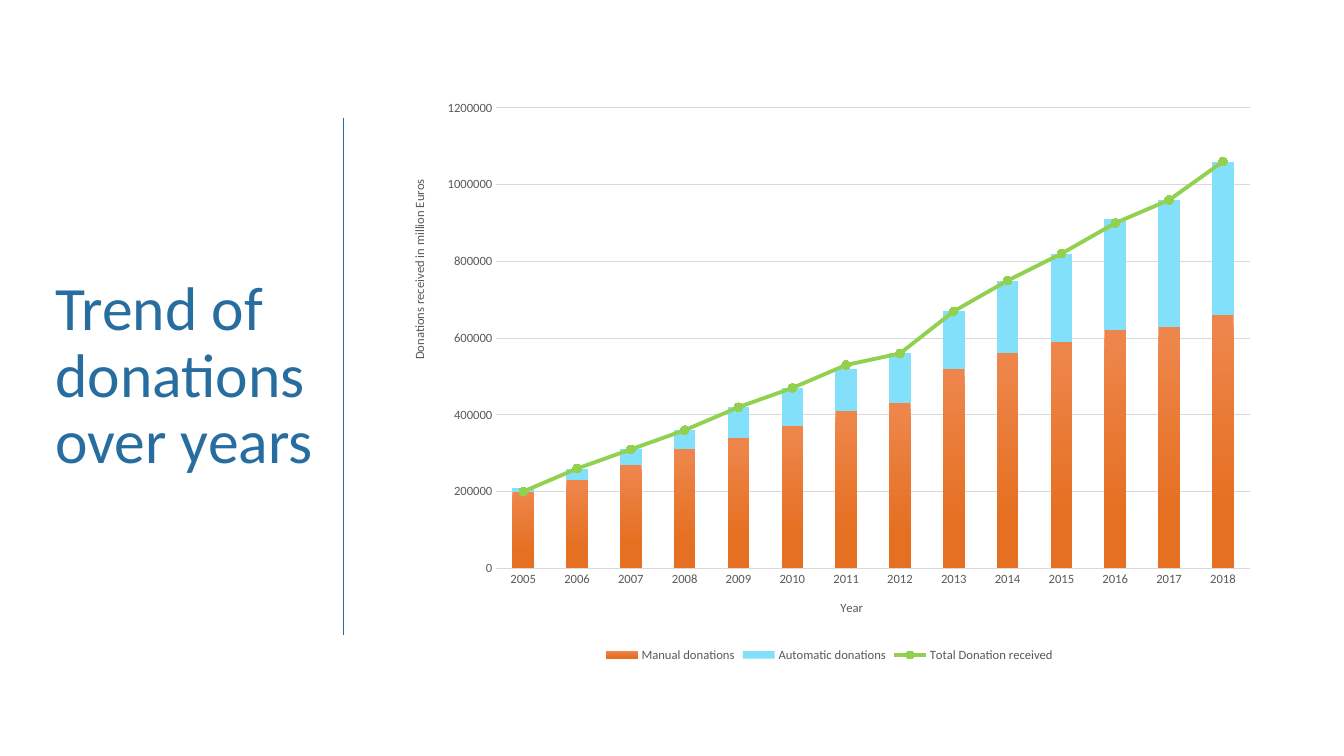
from dataclasses import dataclass

from lxml import etree
from pptx import Presentation
from pptx.chart.data import CategoryChartData
from pptx.dml.color import RGBColor
from pptx.enum.chart import (XL_CHART_TYPE, XL_LEGEND_POSITION,
                             XL_MARKER_STYLE, XL_TICK_MARK)
from pptx.enum.shapes import MSO_CONNECTOR
from pptx.enum.text import MSO_ANCHOR, MSO_AUTO_SIZE, PP_ALIGN
from pptx.oxml.ns import qn
from pptx.util import Inches, Pt

STACKED = XL_CHART_TYPE.COLUMN_STACKED
BOTTOM = XL_LEGEND_POSITION.BOTTOM
CIRCLE = XL_MARKER_STYLE.CIRCLE
NO_TICK = XL_TICK_MARK.NONE
STRAIGHT = MSO_CONNECTOR.STRAIGHT
MIDDLE = MSO_ANCHOR.MIDDLE
NO_FIT = MSO_AUTO_SIZE.NONE
LEFT = PP_ALIGN.LEFT


@dataclass(frozen=True)
class Theme:
    font: str = "Calibri"
    blue: RGBColor = RGBColor(0x28, 0x6D, 0x9F)
    gray: RGBColor = RGBColor(0x59, 0x59, 0x59)
    grid: RGBColor = RGBColor(0xD9, 0xD9, 0xD9)
    light: RGBColor = RGBColor(0xEE, 0x86, 0x4C)
    orange: RGBColor = RGBColor(0xE5, 0x70, 0x21)
    sky: RGBColor = RGBColor(0x82, 0xE0, 0xFA)
    green: RGBColor = RGBColor(0x92, 0xD0, 0x50)
    head: Pt = Pt(44)
    small: Pt = Pt(9)


THEME = Theme()
YEARS = [str(year) for year in range(2005, 2019)]
# Donations in thousands
MANUAL = [200, 230, 270, 310, 340, 370, 410, 430, 520, 560, 590, 620, 630, 660]
AUTO = [10, 30, 40, 50, 80, 100, 110, 130, 150, 190, 230, 290, 330, 400]
TOTAL = [200, 260, 310, 360, 420, 470, 530, 560, 670, 750, 820, 900, 960, 1060]


def style(font, size, color):
    font.name = THEME.font
    font.size = size
    font.bold = False
    font.color.rgb = color


def paint(fill, color):
    fill.solid()
    fill.fore_color.rgb = color


def add_title(slide, text):
    title = slide.shapes.title
    title.left, title.top = Inches(0.45), Inches(2.05)
    title.width, title.height = Inches(3.1), Inches(3.39)
    frame = title.text_frame
    frame.text = text
    frame.word_wrap = True
    frame.auto_size = NO_FIT
    frame.vertical_anchor = MIDDLE
    para = frame.paragraphs[0]
    para.alignment = LEFT
    para.line_spacing = 0.9
    style(para.runs[0].font, THEME.head, THEME.blue)


def add_rule(slide):
    x = Inches(3.41)
    rule = slide.shapes.add_connector(STRAIGHT, x, Inches(1.17), x, Inches(6.3))
    rule.line.color.rgb = THEME.blue
    rule.line.width = Pt(0.5)
    etree.SubElement(rule._element.spPr, qn("a:effectLst"))


def place(parent, index, **spots):
    """Give a chart part a manual layout, in fractions of the chart."""
    old = parent.find(qn("c:layout"))
    if old is not None:
        parent.remove(old)
    layout = etree.Element(qn("c:layout"))
    manual = etree.SubElement(layout, qn("c:manualLayout"))
    for key, value in spots.items():
        etree.SubElement(manual, qn("c:" + key)).set("val", str(value))
    parent.insert(index, layout)


def split_line(chart):
    """Move the last column series to a line plot on the same axes."""
    bars = chart.plots[0]._element
    last = bars.findall(qn("c:ser"))[-1]
    flag = last.find(qn("c:invertIfNegative"))
    if flag is not None:
        last.remove(flag)
    lines = bars.makeelement(qn("c:lineChart"))
    for key, value in (("grouping", "standard"), ("varyColors", "0")):
        etree.SubElement(lines, qn("c:" + key)).set("val", value)
    lines.append(last)
    etree.SubElement(lines, qn("c:marker")).set("val", "1")
    for axis in bars.findall(qn("c:axId")):
        etree.SubElement(lines, qn("c:axId")).set("val", axis.get("val"))
    bars.addnext(lines)


def style_axis(axis, text, x, y):
    axis.major_tick_mark = axis.minor_tick_mark = NO_TICK
    style(axis.tick_labels.font, THEME.small, THEME.gray)
    title = axis.axis_title
    title.text_frame.text = text
    style(title.text_frame.paragraphs[0].runs[0].font, THEME.small, THEME.gray)
    place(title._element, 1, xMode="edge", yMode="edge", x=x, y=y)


def style_bars(plot):
    plot.gap_width = 150
    plot.overlap = 100
    plot.vary_by_categories = False
    manual, auto = plot.series
    fill = manual.format.fill
    fill.gradient()
    fill.gradient_angle = 270
    shades = ((0, THEME.light), (0.78, THEME.orange))
    for stop, (spot, color) in zip(fill.gradient_stops, shades):
        stop.position = spot
        stop.color.rgb = color
    paint(auto.format.fill, THEME.sky)


def style_total(total):
    total.smooth = False
    total.format.line.color.rgb = THEME.green
    total.format.line.width = Pt(2.75)
    total.marker.style = CIRCLE
    total.marker.size = 6
    paint(total.marker.format.fill, THEME.green)
    total.marker.format.line.color.rgb = THEME.green


def add_trend(slide):
    data = CategoryChartData()
    data.categories = YEARS
    for name, values in (("Manual donations", MANUAL),
                         ("Automatic donations", AUTO),
                         ("Total Donation received", TOTAL)):
        data.add_series(name, [value * 1000 for value in values])
    chart = slide.shapes.add_chart(STACKED, Inches(3.88), Inches(0.9),
                                   Inches(8.69), Inches(5.71), data).chart
    style(chart.font, THEME.small, THEME.gray)
    chart.has_title = False
    split_line(chart)
    style_bars(chart.plots[0])
    style_total(chart.plots[1].series[0])

    years, sums = chart.category_axis, chart.value_axis
    style_axis(years, "Year", 0.51, 0.88)
    style_axis(sums, "Donations received in million Euros", 0.02, 0.15)
    years.format.line.color.rgb = THEME.grid
    years.format.line.width = Pt(1)
    sums.format.line.fill.background()
    sums.minimum_scale, sums.maximum_scale = 0, 1200000
    sums.major_unit = 200000
    grid = sums.major_gridlines.format.line
    grid.color.rgb = THEME.grid
    grid.width = Pt(0.75)

    chart.has_legend = True
    chart.legend.position = BOTTOM
    chart.legend.include_in_layout = False
    style(chart.legend.font, THEME.small, THEME.gray)
    area = chart.plots[0]._element.getparent()
    place(area, 0, layoutTarget="inner", xMode="edge", yMode="edge",
          x=0.12, y=0.03, w=0.86, h=0.8)


def main():
    deck = Presentation()
    deck.slide_width, deck.slide_height = Inches(13.33), Inches(7.5)
    slide = deck.slides.add_slide(deck.slide_layouts[5])
    add_trend(slide)
    add_title(slide, "Trend of donations over years")
    add_rule(slide)
    deck.save("out.pptx")


if __name__ == "__main__":
    main()
